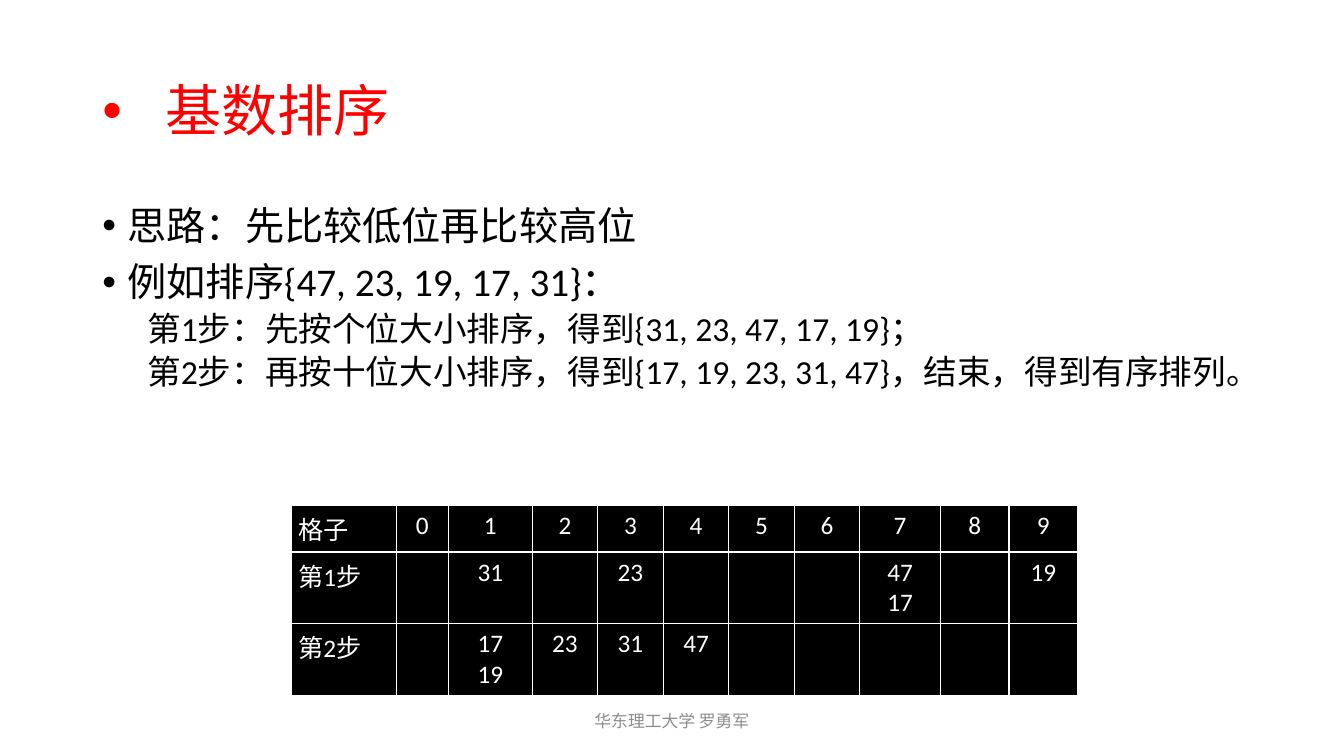
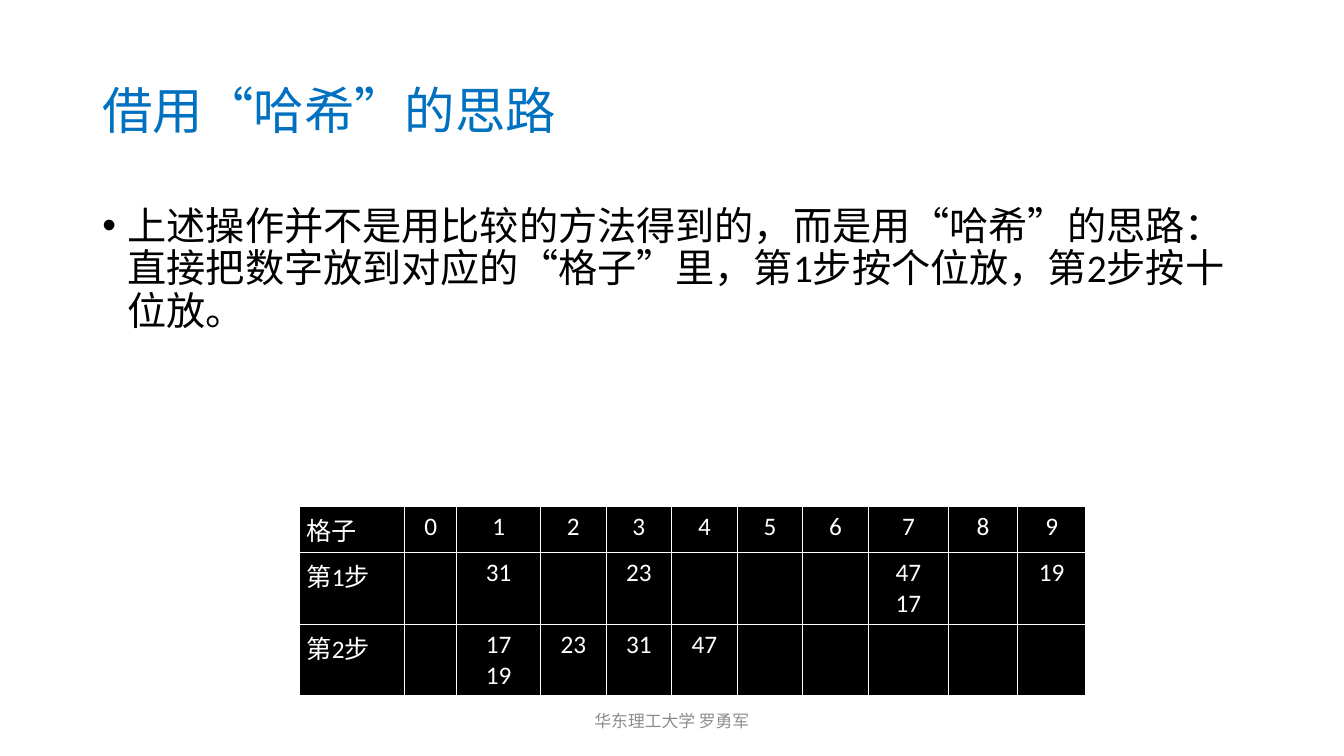
from lxml import etree
from pptx import Presentation
from pptx.dml.color import RGBColor
from pptx.enum.text import MSO_ANCHOR as Anchor, MSO_AUTO_SIZE as AutoSize, PP_ALIGN as Align
from pptx.oxml.ns import qn
from pptx.util import Pt

FONT = "Calibri"
BLACK = RGBColor(0x00, 0x00, 0x00)
WHITE = RGBColor(0xFF, 0xFF, 0xFF)
RED = RGBColor(0xFF, 0x00, 0x00)
BLUE = RGBColor(0x00, 0x70, 0xC0)
GREY = RGBColor(0x8C, 0x8C, 0x8C)

TITLE_BOX = (66, 29, 828, 104.4)
BODY_BOX = (66, 144, 828, 343)
FOOTER_BOX = (318, 500.5, 324, 28.8)

FOOTER = "华东理工大学 罗勇军"
COLUMN_WIDTHS = [75, 37.4, 59.8] + [46.8] * 5 + [57.6, 49, 49]
ROW_HEIGHTS = [32, 51, 51]
BUCKET_ROWS = [
    ("格子", {digit: str(digit) for digit in range(10)}),
    ("第1步", {1: "31", 3: "23", 7: "47\n17", 9: "19"}),
    ("第2步", {1: "17\n19", 2: "23", 3: "31", 4: "47"}),
]


def set_bullet(para, bullet, left, hanging):
    """Give a paragraph its indents and a bullet, or none."""
    props = para._p.get_or_add_pPr()
    props.set("marL", str(Pt(left)))
    props.set("indent", str(-Pt(hanging)))
    if bullet:
        etree.SubElement(props, qn("a:buFont")).set("typeface", "Arial")
        etree.SubElement(props, qn("a:buChar")).set("char", bullet)
    else:
        etree.SubElement(props, qn("a:buNone"))


def write(frame, text, *, size, color=BLACK, align=Align.LEFT, level=0, bullet=None,
          left=0, hanging=0, spacing=1.0, before=0):
    """Write each line of text as a formatted paragraph of the frame."""
    for line in text.split("\n"):
        first = not frame.paragraphs[0].runs
        para = frame.paragraphs[0] if first else frame.add_paragraph()
        para.level = level
        set_bullet(para, bullet, left, hanging)
        para.alignment = align
        para.line_spacing = spacing
        para.space_before = Pt(0 if first else before)
        span = para.add_run()
        span.text = line
        span.font.name = FONT
        span.font.size = Pt(size)
        span.font.color.rgb = color


def place(shape, box, anchor):
    """Move a text shape to a box and return its frame."""
    shape.left, shape.top, shape.width, shape.height = map(Pt, box)
    frame = shape.text_frame
    frame.word_wrap = True
    frame.auto_size = AutoSize.NONE
    frame.vertical_anchor = anchor
    return frame


def add_title(page, text, **style):
    """Fill the title placeholder."""
    frame = place(page.shapes.title, TITLE_BOX, Anchor.MIDDLE)
    write(frame, text, spacing=0.9, **style)


def add_body(page, points, steps=()):
    """Fill the body placeholder with bullets and the steps below them."""
    frame = place(page.placeholders[1], BODY_BOX, Anchor.TOP)
    for point in points:
        write(frame, point, size=28, bullet="•", left=18, hanging=18, spacing=0.9, before=10)
    for step in steps:
        write(frame, step, size=24, level=1, left=32, spacing=0.9, before=5)


def add_footer(page):
    """Add the centred author line."""
    box = page.shapes.add_textbox(*map(Pt, FOOTER_BOX))
    write(place(box, FOOTER_BOX, Anchor.MIDDLE), FOOTER, size=12, color=GREY, align=Align.CENTER)


def style_cell(cell):
    """Give a cell white borders, a black fill and narrow margins."""
    props = cell._tc.get_or_add_tcPr()
    for side in ("L", "R", "T", "B"):
        border = etree.SubElement(props, qn(f"a:ln{side}"), w=str(Pt(1)))
        fill = etree.SubElement(border, qn("a:solidFill"))
        etree.SubElement(fill, qn("a:srgbClr"), val=str(WHITE))
    cell.fill.solid()
    cell.fill.fore_color.rgb = BLACK
    cell.margin_left = cell.margin_right = Pt(5)
    cell.margin_top = cell.margin_bottom = Pt(3.6)


def add_bucket_table(page, left, top):
    """Add the table of digit buckets for both steps."""
    size = (sum(COLUMN_WIDTHS), sum(ROW_HEIGHTS))
    table = page.shapes.add_table(len(ROW_HEIGHTS), len(COLUMN_WIDTHS),
                                  *map(Pt, (left, top, *size))).table
    for column, width in zip(table.columns, COLUMN_WIDTHS):
        column.width = Pt(width)
    for row, height, (label, buckets) in zip(table.rows, ROW_HEIGHTS, BUCKET_ROWS):
        row.height = Pt(height)
        for index, cell in enumerate(row.cells):
            style_cell(cell)
            if index == 0:
                write(cell.text_frame, label, size=18, color=WHITE, align=Align.JUSTIFY)
            elif index - 1 in buckets:
                write(cell.text_frame, buckets[index - 1], size=18, color=WHITE,
                      align=Align.CENTER)


def add_page(deck):
    """Add a page with title, body and footer."""
    page = deck.slides.add_slide(deck.slide_layouts[1])
    add_footer(page)
    return page


def add_radix_page(deck):
    """Add the page that introduces radix sort."""
    page = add_page(deck)
    add_title(page, "基数排序", size=40, color=RED, bullet="•", left=45, hanging=45)
    add_body(
        page,
        ["思路：先比较低位再比较高位", "例如排序{47, 23, 19, 17, 31}："],
        ["第1步：先按个位大小排序，得到{31, 23, 47, 17, 19}；",
         "第2步：再按十位大小排序，得到{17, 19, 23, 31, 47}，结束，得到有序排列。"],
    )
    add_bucket_table(page, 208, 361)


def add_hash_page(deck):
    """Add the page that explains the hashing idea."""
    page = add_page(deck)
    add_title(page, "借用“哈希”的思路", size=36, color=BLUE)
    add_body(page, ["上述操作并不是用比较的方法得到的，而是用“哈希”的思路："
                    "直接把数字放到对应的“格子”里，第1步按个位放，第2步按十位放。"])
    add_bucket_table(page, 214, 361.5)


def main():
    """Build and save the deck."""
    deck = Presentation()
    deck.slide_width, deck.slide_height = Pt(960), Pt(540)
    add_radix_page(deck)
    add_hash_page(deck)
    deck.save("out.pptx")


if __name__ == "__main__":
    main()
